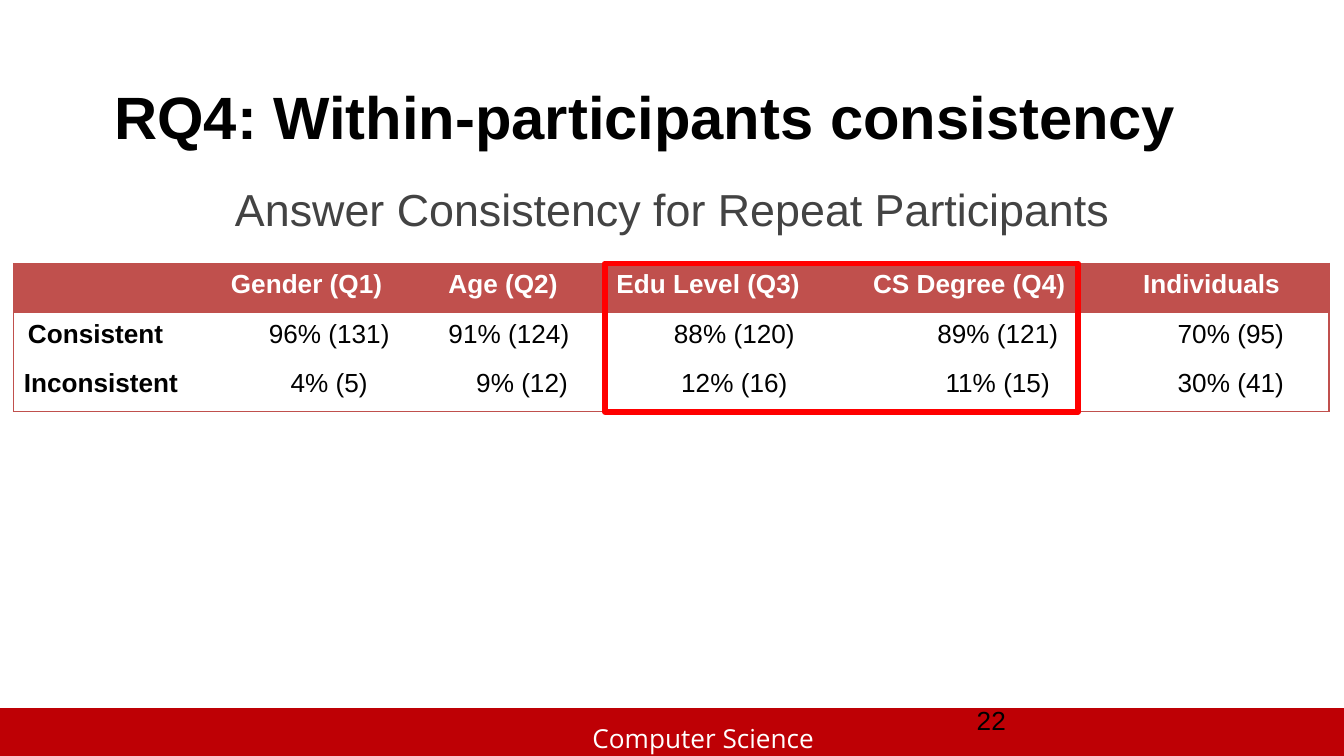
import pptx
import pptx.util
import pptx.dml.color
import pptx.enum.shapes
import pptx.enum.text
import pptx.oxml.ns
from lxml import etree

Pt = pptx.util.Pt
ALIGN = pptx.enum.text.PP_ALIGN
ANCHOR = pptx.enum.text.MSO_ANCHOR
RECT = pptx.enum.shapes.MSO_SHAPE.RECTANGLE

COLORS = {"band": "BE0005", "header": "C0504D", "highlight": "FF0000",
          "text": "000000", "subtitle": "434343", "white": "FFFFFF"}

SLIDE_W, SLIDE_H = 720, 405
COL_WIDTHS = [110.9, 116.6, 90, 137.5, 144.7, 105.1]
ROW_H = 26.5
ROWS = [
    ["", "Gender (Q1)", "Age (Q2)", "Edu Level (Q3)", "CS Degree (Q4)", "Individuals"],
    ["Consistent", "96% (131)", "91% (124)", "88% (120)", "89% (121)", "70% (95)"],
    ["Inconsistent", "4% (5)", "9% (12)", "12% (16)", "11% (15)", "30% (41)"],
]


def rgb(name):
    return pptx.dml.color.RGBColor.from_string(COLORS[name])


def write(tf, text, size, color, bold=False, font="Arial", align=ALIGN.LEFT):
    """Fill a text frame with one formatted paragraph and return it."""
    tf.text = text
    tf.word_wrap = True
    p = tf.paragraphs[0]
    p.alignment = align
    for r in p.runs:
        r.font.name, r.font.size, r.font.bold = font, Pt(size), bold
        r.font.color.rgb = rgb(color)
    return p


def place(sp, box):
    sp.left, sp.top, sp.width, sp.height = map(Pt, box)


def add_text(s, box, text, size, color, anchor=ANCHOR.TOP, **style):
    tf = s.shapes.add_textbox(*map(Pt, box)).text_frame
    tf.vertical_anchor = anchor
    write(tf, text, size, color, **style)


def add_footer(s, box):
    """Coloured band with the department name and the page number."""
    x, y, w, h = box
    sp = s.shapes.add_shape(RECT, *map(Pt, box))
    sp.shadow.inherit = False
    sp.fill.solid()
    sp.fill.fore_color.rgb = rgb("band")
    sp.line.fill.background()
    add_text(s, (x + 310.3, y + 4.3, 139, 18), "Computer Science", 14, "white",
             font="Open Sans")
    add_text(s, (x + 516.2, y - 4.3, 167.8, 21.6), "22", 14, "text", ANCHOR.MIDDLE)


def add_heading(s, box):
    x, y, w, h = box
    title = s.shapes.title
    place(title, (x + 54, y, w - 108, 63.4))
    tf = title.text_frame
    write(tf, "RQ4: Within-participants consistency", 32, "text", bold=True)
    tf.vertical_anchor = ANCHOR.MIDDLE
    tf.auto_size = pptx.enum.text.MSO_AUTO_SIZE.NONE
    add_text(s, (x, y + 63.4, w, h - 63.4), "Answer Consistency for Repeat Participants",
             24, "subtitle", align=ALIGN.CENTER)


def set_borders(cell, shown):
    """Draw the cell edges named in shown and hide the others."""
    tcPr = cell._tc.get_or_add_tcPr()
    for side in "LRTB":
        ln = etree.SubElement(tcPr, pptx.oxml.ns.qn(f"a:ln{side}"), w=str(Pt(0.75)))
        if side in shown:
            fill = etree.SubElement(ln, pptx.oxml.ns.qn("a:solidFill"))
            etree.SubElement(fill, pptx.oxml.ns.qn("a:srgbClr"), val=COLORS["header"])
        else:
            etree.SubElement(ln, pptx.oxml.ns.qn("a:noFill"))


def format_cell(cell, text, i, j):
    header, label = i == 0, j == 0
    edges = {"L": label, "R": j == len(COL_WIDTHS) - 1,
             "T": header, "B": i == len(ROWS) - 1}
    set_borders(cell, [side for side, outer in edges.items() if outer])
    if header:
        cell.fill.solid()
        cell.fill.fore_color.rgb = rgb("header")
    else:
        cell.fill.background()
    cell.margin_left = cell.margin_right = Pt(5.6)
    cell.margin_top, cell.margin_bottom = Pt(2.4), Pt(0)
    left = header or label or text == "91% (124)"
    p = write(cell.text_frame, text, 14, "white" if header else "text",
              bold=header or label, align=ALIGN.LEFT if left else ALIGN.CENTER)
    p.line_spacing = 1.07
    if text == "Consistent":
        p._p.get_or_add_pPr().set("marL", str(Pt(2.2)))


def add_consistency_table(s, box):
    """Table of answers with a frame around the two least stable questions."""
    x, y, w, h = box
    table = s.shapes.add_table(len(ROWS), len(COL_WIDTHS), *map(Pt, box)).table
    table.first_row = table.horz_banding = False
    for col, width in zip(table.columns, COL_WIDTHS):
        col.width = Pt(width)
    for i, texts in enumerate(ROWS):
        table.rows[i].height = Pt(ROW_H)
        for j, text in enumerate(texts):
            format_cell(table.cell(i, j), text, i, j)

    frame = s.shapes.add_shape(RECT, Pt(x + sum(COL_WIDTHS[:3]) - 0.6), Pt(y),
                               Pt(253.5), Pt(h))
    frame.shadow.inherit = False
    frame.fill.background()
    frame.line.color.rgb = rgb("highlight")
    frame.line.width = Pt(3)


def main():
    prs = pptx.Presentation()
    prs.slide_width, prs.slide_height = Pt(SLIDE_W), Pt(SLIDE_H)
    s = prs.slides.add_slide(prs.slide_layouts[5])
    add_footer(s, (0, 379.4, SLIDE_W, 27.4))
    add_heading(s, (0, 30.2, SLIDE_W, 346.4))
    add_consistency_table(s, (7.2, 141.1, sum(COL_WIDTHS), ROW_H * len(ROWS)))
    prs.save("out.pptx")


if __name__ == "__main__":
    main()
